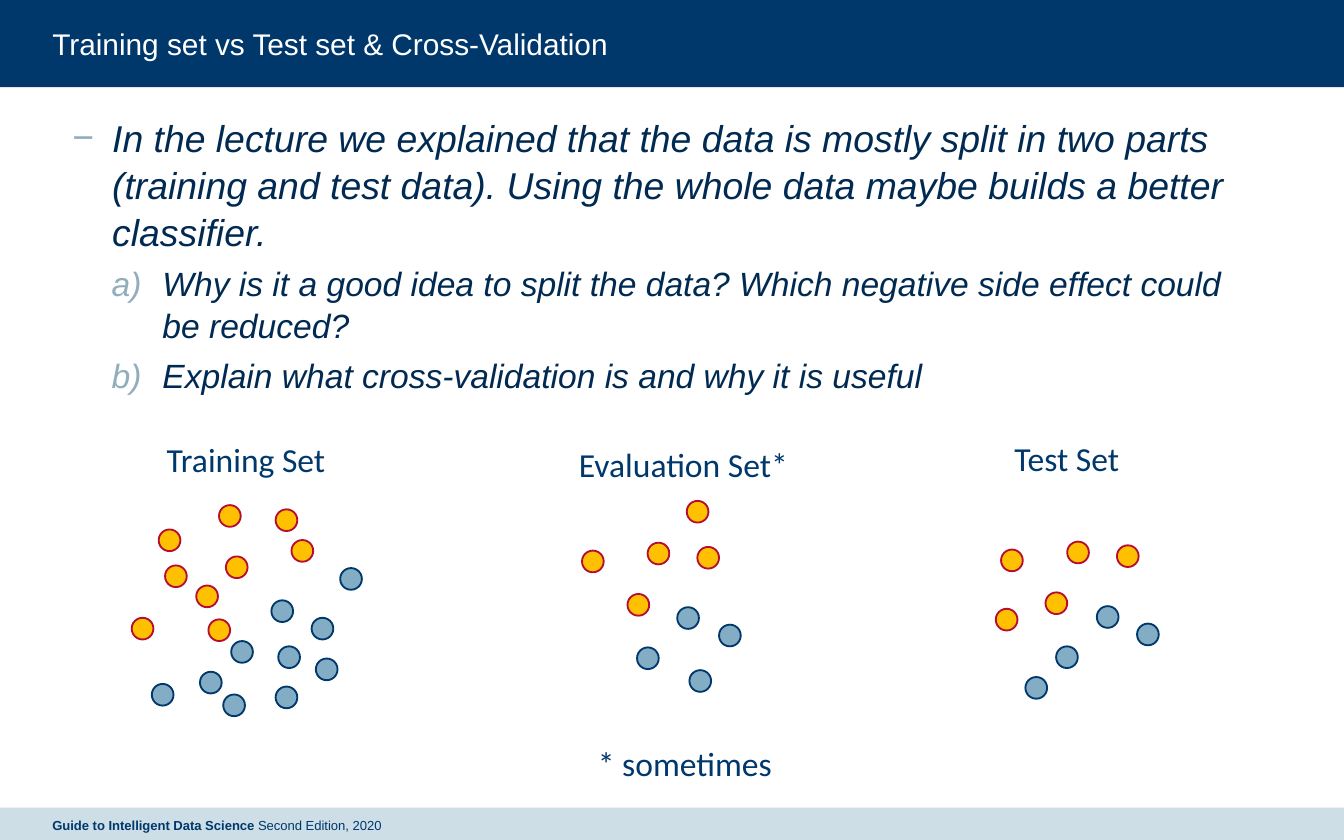
from dataclasses import dataclass
from typing import NamedTuple

from lxml.etree import SubElement
from pptx import Presentation
from pptx.dml.color import RGBColor
from pptx.enum.shapes import MSO_SHAPE as Shape
from pptx.enum.text import MSO_ANCHOR as Anchor, MSO_AUTO_SIZE as AutoSize, PP_ALIGN as Align
from pptx.oxml.ns import qn
from pptx.util import Cm, Pt

NAVY, INK, PALE, BULLET = "00386C", "002A51", "CDDEE7", "92AEBC"
YELLOW, RED, BLUE = "FFC000", "B60E32", "83ADC4"
DOT_SIZE = 0.41


class Box(NamedTuple):
    left: float
    top: float
    width: float
    height: float


class Span(NamedTuple):
    text: str
    size: float
    color: str
    font: str = "Arial"
    bold: bool = False
    italic: bool = False


@dataclass
class Question:
    text: str
    size: float
    level: int
    before: float
    margin: float
    hanging: float
    bullet: tuple


@dataclass
class DataSet:
    label: str
    label_box: Box
    yellow: list
    blue: list


QUESTIONS = [
    Question("In the lecture we explained that the data is mostly split in two parts "
             "(training and test data). Using the whole data maybe builds a better classifier. ",
             20, 0, 7.5, 0.75, 0.75, ("a:buChar", "char", "\u2212")),
    Question("Why is it a good idea to split the data? Which negative side effect could be reduced?",
             18, 1, 3.8, 1.7, 0.96, ("a:buAutoNum", "type", "alphaLcParenR")),
    Question("Explain what cross-validation is and why it is useful",
             18, 1, 3.8, 1.7, 0.96, ("a:buAutoNum", "type", "alphaLcParenR")),
]

DATA_SETS = [
    DataSet("Test Set", Box(18.92, 8.15, 2.51, 1.02),
            [(18.82, 11.51), (18.92, 10.39), (19.76, 11.2), (20.17, 10.24), (21.11, 10.31)],
            [(19.96, 12.22), (20.73, 11.46), (21.49, 11.79), (19.38, 12.8)]),
    DataSet("Training Set", Box(2.9, 8.18, 3.56, 1.02),
            [(5.21, 9.63), (3.71, 11.07), (3.12, 10.69), (3, 10.01), (4.27, 10.52),
             (3.94, 11.71), (4.14, 9.55), (5.51, 10.21), (2.49, 11.68)],
            [(5.26, 12.22), (6.43, 10.74), (5.97, 12.45), (4.37, 12.12), (5.13, 11.35),
             (5.89, 11.68), (3.78, 12.7), (2.87, 12.93), (5.21, 12.98), (4.22, 13.13)]),
    DataSet("Evaluation Set*", Box(10.69, 8.26, 4.52, 1.02),
            [(12.98, 9.47), (11, 10.41), (11.86, 11.23), (12.24, 10.26), (13.18, 10.34)],
            [(12.04, 12.24), (12.8, 11.48), (13.59, 11.81), (13.03, 12.67)]),
]


def rgb(color: str) -> RGBColor:
    """Turn a hex string into a colour."""
    return RGBColor.from_string(color)


def lengths(box: Box) -> list:
    """Convert a box in centimetres to slide lengths."""
    return [Cm(value) for value in box]


def place(placeholder, box: Box) -> None:
    """Move and size a placeholder."""
    placeholder.left, placeholder.top, placeholder.width, placeholder.height = lengths(box)


def prepare(frame, anchor=Anchor.TOP) -> None:
    """Give a text frame wrapping text without insets."""
    frame.margin_left = frame.margin_right = frame.margin_top = frame.margin_bottom = 0
    frame.word_wrap = True
    frame.auto_size = AutoSize.NONE
    frame.vertical_anchor = anchor


def add_span(paragraph, span: Span) -> None:
    """Add one formatted run to a paragraph."""
    run = paragraph.add_run()
    run.text = span.text
    font = run.font
    font.name, font.size, font.bold, font.italic = span.font, Pt(span.size), span.bold, span.italic
    font.color.rgb = rgb(span.color)


def add_figure(shapes, kind: Shape, box: Box, fill: str, outline: str = ""):
    """Draw a filled preset shape, outlined if a line colour is given."""
    figure = shapes.add_shape(kind, *lengths(box))
    figure.shadow.inherit = False
    figure.fill.solid()
    figure.fill.fore_color.rgb = rgb(fill)
    if outline:
        figure.line.color.rgb = rgb(outline)
        figure.line.width = Pt(1)
    else:
        figure.line.fill.background()
    return figure


def add_label(shapes, text: str, box: Box) -> None:
    """Add a single-line caption."""
    frame = shapes.add_textbox(*lengths(box)).text_frame
    frame.word_wrap = False
    frame.auto_size = AutoSize.SHAPE_TO_FIT_TEXT
    add_span(frame.paragraphs[0], Span(text, 18, NAVY, "Calibri"))


def add_data_set(shapes, data_set: DataSet) -> None:
    """Draw a labelled group of data points."""
    members = shapes.add_group_shape().shapes
    add_label(members, data_set.label, data_set.label_box)
    for points, fill, outline in ((data_set.yellow, YELLOW, RED), (data_set.blue, BLUE, NAVY)):
        for left, top in points:
            add_figure(members, Shape.OVAL, Box(left, top, DOT_SIZE, DOT_SIZE), fill, outline)


def write_question(paragraph, question: Question) -> None:
    """Fill a body paragraph with its bullet and text."""
    paragraph.level = question.level
    paragraph.alignment = Align.LEFT
    paragraph.line_spacing = 1.05
    paragraph.space_before = Pt(question.before)
    add_span(paragraph, Span(question.text, question.size, INK, italic=True))
    properties = paragraph._p.get_or_add_pPr()
    properties.set("marL", str(Cm(question.margin)))
    properties.set("indent", str(-Cm(question.hanging)))
    SubElement(SubElement(properties, qn("a:buClr")), qn("a:srgbClr")).set("val", BULLET)
    SubElement(properties, qn("a:buFont")).set("typeface", "Arial")
    tag, attribute, value = question.bullet
    SubElement(properties, qn(tag)).set(attribute, value)


def build() -> None:
    """Build and save the slide."""
    deck = Presentation()
    deck.slide_width, deck.slide_height = Cm(25.4), Cm(15.88)
    slide = deck.slides.add_slide(deck.slide_layouts[1])
    shapes = slide.shapes
    title, body = shapes.title, slide.placeholders[1]

    for box, fill in ((Box(0, 0, 25.4, 1.65), NAVY), (Box(0, 15.27, 25.4, 0.66), PALE)):
        band = add_figure(shapes, Shape.RECTANGLE, box, fill)
        title.element.addprevious(band.element)

    place(title, Box(0.99, 0.48, 23.42, 0.69))
    prepare(title.text_frame, Anchor.MIDDLE)
    heading = title.text_frame.paragraphs[0]
    heading.alignment = Align.LEFT
    add_span(heading, Span("Training set vs Test set & Cross-Validation", 16, "FFFFFF"))

    place(body, Box(1.37, 2.13, 22.53, 5.82))
    prepare(body.text_frame)
    for index, question in enumerate(QUESTIONS):
        frame = body.text_frame
        write_question(frame.add_paragraph() if index else frame.paragraphs[0], question)

    for data_set in DATA_SETS:
        add_data_set(shapes, data_set)
    add_label(shapes, "* sometimes", Box(11.05, 13.92, 3.84, 1.02))

    footer = shapes.add_textbox(*lengths(Box(0.99, 15.27, 11.15, 0.66))).text_frame
    prepare(footer, Anchor.MIDDLE)
    add_span(footer.paragraphs[0], Span("Guide to Intelligent Data Science ", 7, NAVY, bold=True))
    add_span(footer.paragraphs[0], Span("Second Edition, 2020", 7, NAVY))

    deck.save("out.pptx")


build()
